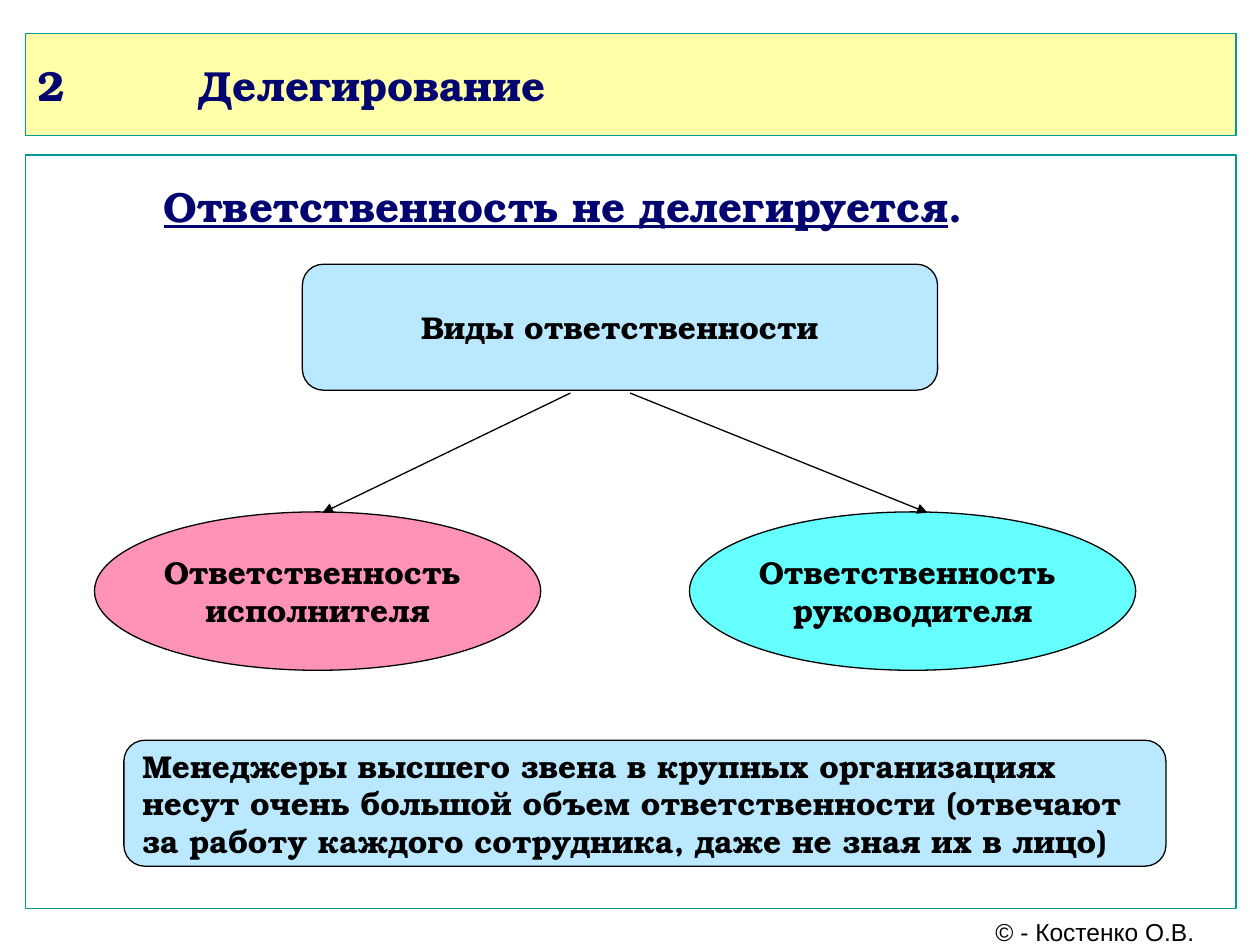
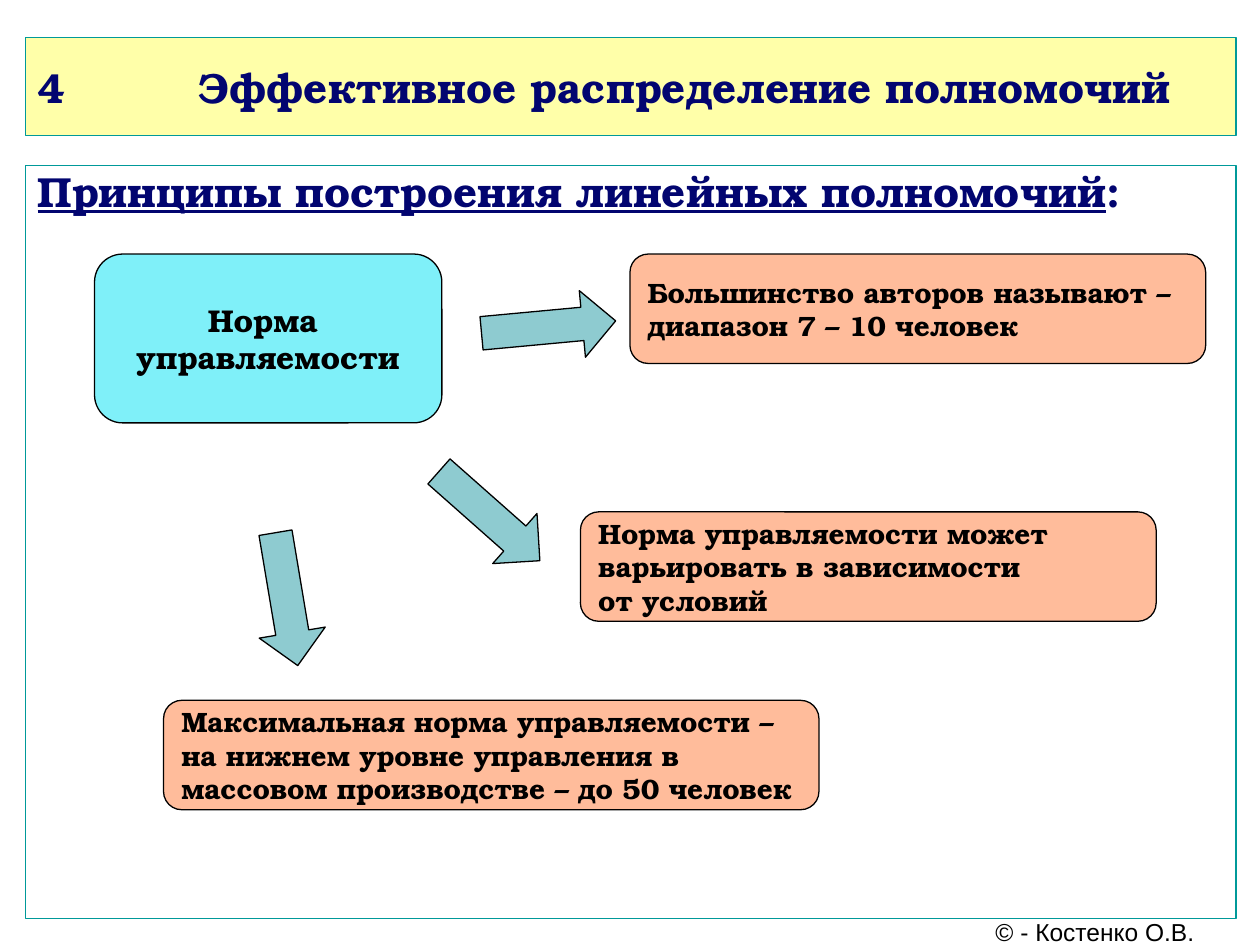
from lxml.etree import SubElement
from pptx import Presentation
from pptx.dml.color import RGBColor as RGB
from pptx.enum.shapes import MSO_CONNECTOR as LINK, MSO_SHAPE as SHAPE
from pptx.enum.text import MSO_ANCHOR as ANCHOR, PP_ALIGN as ALIGN
from pptx.oxml.ns import qn
from pptx.util import Pt

NAVY = RGB(0x02, 0x05, 0x70)
TEAL = RGB(0x00, 0x99, 0x99)
BLACK = RGB(0, 0, 0)
WHITE = RGB(255, 255, 255)
CREAM = RGB(0xFF, 0xFF, 0xA9)
SKY = RGB(0xB9, 0xE8, 0xFF)
PINK = RGB(0xFF, 0x93, 0xB7)
CYAN = RGB(0x66, 0xFF, 0xFF)
AQUA = RGB(0x7F, 0xF0, 0xF9)
PEACH = RGB(0xFF, 0xBC, 0x9B)
STEEL = RGB(0x8E, 0xCB, 0xD0)

SERIF, SANS = "TeX Gyre Bonum", "Arial"
LEFT, WIDE = 14.4, 692
BAND_END, BODY_TALL = 77.4, 430.5
HANG, TAB = 56.2, 72
FOOT = "© - Костенко О.В."
FOOT_AT = (553, 525, 145.4, 15)
ROUND, OVAL = SHAPE.ROUNDED_RECTANGLE, SHAPE.OVAL
MID, START = ALIGN.CENTER, ALIGN.LEFT

# node: shape, place, fill, alignment, size, lines
# head: text, underlined part first; left and top insets
SLIDES = [
    dict(
        title="2\t\tДелегирование", band=19.2, body=88.6,
        head=("Ответственность не делегируется", "."), inset=(79.2, 14.6),
        nodes=[
            (ROUND, (172.8, 151, 363, 72), SKY, MID, 18,
             ["Виды ответственности"]),
            (OVAL, (54, 292.5, 255, 90.5), PINK, MID, 18,
             ["Ответственность ", "исполнителя"]),
            (OVAL, (394, 292.5, 255, 90.5), CYAN, MID, 18,
             ["Ответственность ", "руководителя"]),
            (ROUND, (70.8, 423, 595.5, 72), SKY, START, 18,
             ["Менеджеры высшего звена в крупных организациях",
              "несут очень большой объем ответственности (отвечают",
              "за работу каждого сотрудника, даже не зная их в лицо)"]),
        ],
        links=[(326, 224.6, 184.3, 293), (360, 224.6, 530, 293)],
        arrows=[],
    ),
    dict(
        title="4\t\tЭффективное распределение полномочий", band=21.6, body=94.4,
        head=("Принципы построения линейных полномочий", ":"), inset=(7.2, 0),
        nodes=[
            (ROUND, (54, 145.2, 198.5, 96.5), AQUA, MID, 18,
             ["Норма ", "управляемости"]),
            (ROUND, (360, 145.2, 329, 62.5), PEACH, START, 16,
             ["Большинство авторов называют –", "диапазон 7 – 10 человек"]),
            (ROUND, (331.7, 292.5, 329, 62.5), PEACH, START, 16,
             ["Норма управляемости может", "варьировать в зависимости",
              "от условий"]),
            (ROUND, (93.5, 400.2, 374.5, 62.5), PEACH, START, 16,
             ["Максимальная норма управляемости –",
              "на нижнем уровне управления в",
              "массовом производстве – до 50 человек"]),
        ],
        links=[],
        arrows=[(275, 167.8, 354.7), (241.2, 275.8, 41.5), (125.3, 323.3, 80.5)],
    ),
]


def style(run, size, color=BLACK, name=SERIF, bold=True):
    font = run.font
    font.name, font.size, font.bold = name, Pt(size), bold
    font.color.rgb = color


def shape(slide, kind, at, fill, line=BLACK):
    item = slide.shapes.add_shape(kind, *map(Pt, at))
    item.shadow.inherit = False
    item.fill.solid()
    item.fill.fore_color.rgb = fill
    item.line.color.rgb = line
    item.line.width = Pt(0.75)
    return item


def setup(item, anchor=ANCHOR.MIDDLE, wrap=True):
    """Set anchor, wrap and insets; return the text frame."""
    frame = item.text_frame
    frame.word_wrap, frame.vertical_anchor = wrap, anchor
    frame.margin_left = frame.margin_right = Pt(7.2)
    frame.margin_top = frame.margin_bottom = Pt(3.6)
    return frame


def title(slide, text, top):
    at = (LEFT, top, WIDE, BAND_END - top)
    para = setup(shape(slide, SHAPE.RECTANGLE, at, CREAM, TEAL)).paragraphs[0]
    para.alignment = START
    props = para._p.get_or_add_pPr()
    props.set("marL", str(Pt(HANG)))
    props.set("indent", str(-Pt(HANG)))
    tabs = SubElement(props, qn("a:tabLst"))
    for stop in (0, TAB):
        SubElement(tabs, qn("a:tab"), pos=str(Pt(stop)), algn="l")
    run = para.add_run()
    run.text = text
    style(run, 24, NAVY)


def body(slide, top, parts, inset):
    at = (LEFT, top, WIDE, BODY_TALL)
    frame = setup(shape(slide, SHAPE.RECTANGLE, at, WHITE, TEAL), ANCHOR.TOP)
    frame.margin_left, frame.margin_top = map(Pt, inset)
    para = frame.paragraphs[0]
    para.alignment = START
    for text, under in zip(parts, (True, False)):
        run = para.add_run()
        run.text = text
        style(run, 24, NAVY)
        run.font.underline = under


def node(slide, kind, at, fill, align, size, lines):
    frame = setup(shape(slide, kind, at, fill), wrap=align == START)
    for i, text in enumerate(lines):
        para = frame.add_paragraph() if i else frame.paragraphs[0]
        para.alignment = align
        run = para.add_run()
        run.text = text
        style(run, size)


def link(slide, ends):
    item = slide.shapes.add_connector(LINK.STRAIGHT, *map(Pt, ends))
    item.line.color.rgb = BLACK
    item.line.width = Pt(0.75)
    SubElement(item.line._get_or_add_ln(), qn("a:tailEnd"), type="triangle")
    SubElement(item._element.spPr, qn("a:effectLst"))


def arrow(slide, left, top, turn):
    item = shape(slide, SHAPE.RIGHT_ARROW, (left, top, 77, 38.2), STEEL)
    item.rotation = turn


def foot(slide):
    frame = setup(slide.shapes.add_textbox(*map(Pt, FOOT_AT)), wrap=False)
    para = frame.paragraphs[0]
    para.alignment = MID
    run = para.add_run()
    run.text = FOOT
    style(run, 14, name=SANS, bold=False)


def main():
    deck = Presentation()
    deck.slide_width, deck.slide_height = Pt(720), Pt(540)
    for data in SLIDES:
        slide = deck.slides.add_slide(deck.slide_layouts[6])
        title(slide, data["title"], data["band"])
        body(slide, data["body"], data["head"], data["inset"])
        for spec in data["nodes"]:
            node(slide, *spec)
        for ends in data["links"]:
            link(slide, ends)
        for spot in data["arrows"]:
            arrow(slide, *spot)
        foot(slide)
    deck.save("out.pptx")


if __name__ == "__main__":
    main()
